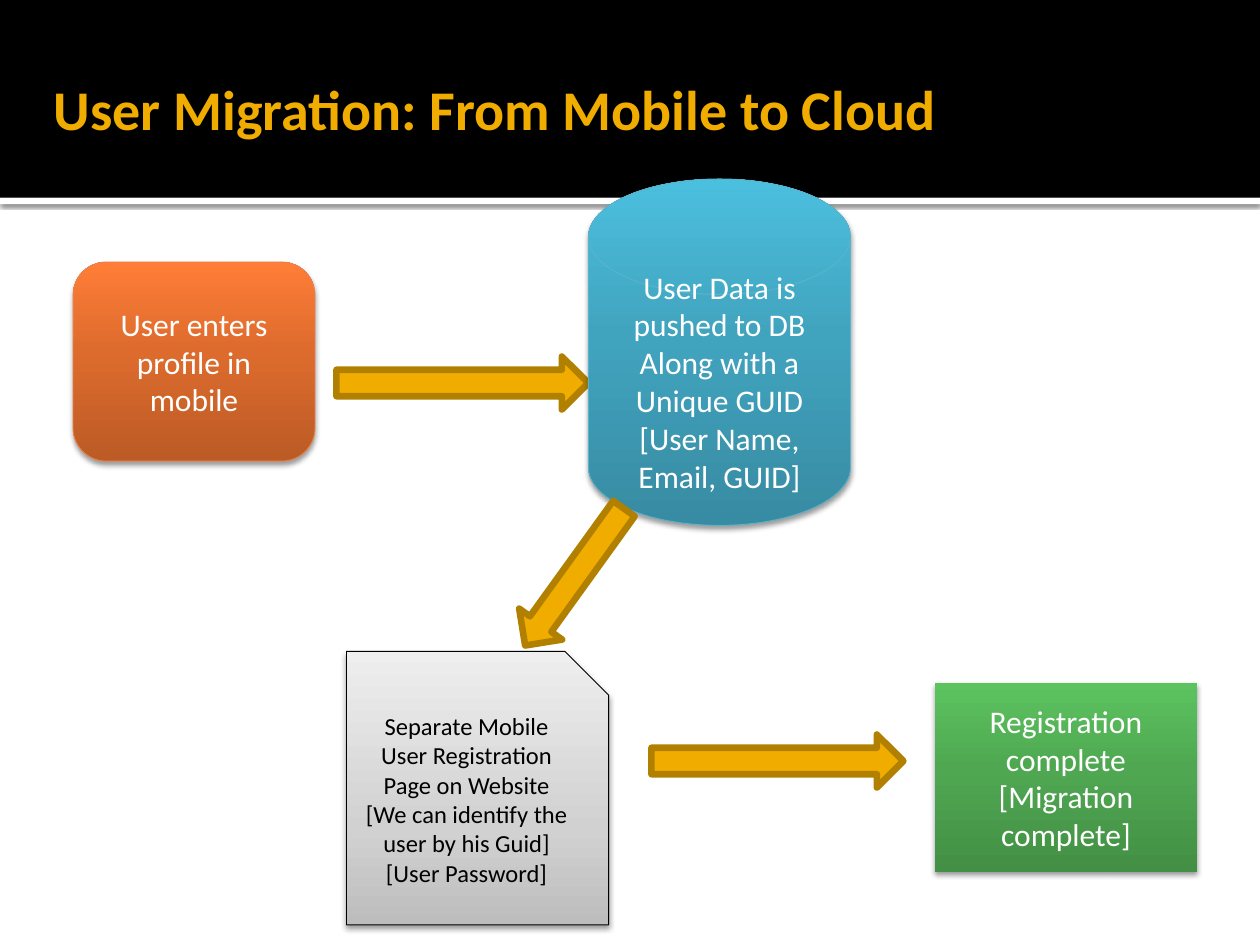
from dataclasses import dataclass

from lxml import etree
from pptx import Presentation
from pptx.dml.color import RGBColor
from pptx.enum.shapes import MSO_SHAPE
from pptx.enum.text import MSO_ANCHOR, PP_ALIGN
from pptx.oxml.ns import qn
from pptx.util import Inches, Pt

RECT = MSO_SHAPE.RECTANGLE
ROUNDED = MSO_SHAPE.ROUNDED_RECTANGLE
DISK = MSO_SHAPE.FLOWCHART_MAGNETIC_DISK
SNIPPED = MSO_SHAPE.SNIP_1_RECTANGLE
RIGHT_ARROW = MSO_SHAPE.RIGHT_ARROW
DOWN_ARROW = MSO_SHAPE.DOWN_ARROW
MIDDLE = MSO_ANCHOR.MIDDLE
CENTER = PP_ALIGN.CENTER


@dataclass(frozen=True)
class Theme:
    """Colours, gradients and type sizes of the slide."""
    font: str = "Calibri"
    title_size: int = 32
    step_size: int = 18
    page_size: int = 14
    black: str = "000000"
    white: str = "FFFFFF"
    gold: str = "F0AD00"
    gold_edge: str = "B28000"
    orange: tuple = ((0, "BC5B26"), (55, "DD6B2D"), (100, "FF7D37"))
    orange_edge: str = "E7824C"
    blue: tuple = ((0, "378BA2"), (55, "41A4BF"), (100, "4BBFDE"))
    blue_edge: str = "5BB3CA"
    gray: tuple = ((0, "BDBDBD"), (35, "D1D1D1"), (100, "EEEEEE"))
    green: tuple = ((0, "438F45"), (55, "4FA851"), (100, "5CC35F"))


THEME = Theme()


def rgb(code):
    """Turn a hex code into a colour."""
    return RGBColor.from_string(code)


def add_color(parent, code):
    """Append an RGB colour element."""
    return etree.SubElement(parent, qn("a:srgbClr"), val=code)


def set_gradient(shape, stops):
    """Fill a shape from bottom to top through (percent, colour) stops."""
    shape.fill.gradient()
    shape.fill.gradient_angle = 90
    stop_list = shape._element.spPr.find(".//" + qn("a:gsLst"))
    for old_stop in list(stop_list):
        stop_list.remove(old_stop)
    for percent, code in stops:
        stop = etree.SubElement(stop_list, qn("a:gs"), pos=str(percent * 1000))
        add_color(stop, code)


def set_shadow(shape, opacity, blur, distance):
    """Cast a black shadow straight down."""
    effects = shape._element.spPr.find(qn("a:effectLst"))
    shadow = etree.SubElement(
        effects, qn("a:outerShdw"), blurRad=str(Pt(blur)), dist=str(Pt(distance)),
        dir="5400000", rotWithShape="0")
    etree.SubElement(add_color(shadow, THEME.black), qn("a:alpha"),
                     val=str(opacity * 1000))


def add_box(slide, kind, place, fill, edge=None, edge_width=0.5):
    """Add a preset shape with a solid or gradient fill."""
    box = slide.shapes.add_shape(kind, *map(Inches, place))
    box.shadow.inherit = False
    if isinstance(fill, str):
        box.fill.solid()
        box.fill.fore_color.rgb = rgb(fill)
    else:
        set_gradient(box, fill)
    if edge:
        box.line.color.rgb = rgb(edge)
        box.line.width = Pt(edge_width)
    else:
        box.line.fill.background()
    return box


def write(shape, lines, size, color, align=None, bold=None):
    """Write one paragraph per line, centred vertically."""
    frame = shape.text_frame
    frame.word_wrap = True
    frame.vertical_anchor = MIDDLE
    frame.text = "\n".join(lines)
    for paragraph in frame.paragraphs:
        paragraph.alignment = align
        font = paragraph.font
        font.name, font.size, font.bold = THEME.font, Pt(size), bold
        font.color.rgb = rgb(color)


def add_header(slide, title):
    """Add the black band, its white rule and the title."""
    rule = add_box(slide, RECT, (0, 1.57, 10, 0.05), THEME.white)
    set_shadow(rule, 60, 2.5, 0.8)
    add_box(slide, RECT, (0, 0, 10, 1.57), THEME.black)
    heading = slide.shapes.add_textbox(*map(Inches, (0.33, 0.17, 9.17, 1.37)))
    write(heading, [title], THEME.title_size, THEME.gold, bold=True)
    heading.text_frame.margin_right = Inches(0.05)


def add_step(slide, kind, place, fill, edge, lines,
             size=THEME.step_size, color=THEME.white, blur=3.1):
    """Add one step of the migration flow."""
    step = add_box(slide, kind, place, fill, edge)
    set_shadow(step, 38, blur, 2)
    write(step, lines, size, color, CENTER)


def add_arrow(slide, kind, place, rotation=0):
    """Add a gold block arrow between two steps."""
    arrow = add_box(slide, kind, place, THEME.gold, THEME.gold_edge, 3.78)
    arrow.rotation = rotation


def main():
    """Build and save the slide."""
    deck = Presentation()
    deck.slide_width, deck.slide_height = Inches(10), Inches(7.5)
    slide = deck.slides.add_slide(deck.slide_layouts[6])

    add_header(slide, "User Migration: From Mobile to Cloud")
    add_step(slide, ROUNDED, (0.58, 2.08, 1.92, 1.58), THEME.orange,
             THEME.orange_edge, ["User enters profile in mobile"])
    add_arrow(slide, RIGHT_ARROW, (2.67, 2.83, 2, 0.42))
    add_step(slide, DISK, (4.67, 1.42, 2.08, 2.75), THEME.blue, THEME.blue_edge,
             ["User Data is pushed to DB", "Along with a Unique GUID",
              "[User Name, Email, GUID]"])
    add_step(slide, SNIPPED, (2.75, 5.17, 2.08, 2.17), THEME.gray, THEME.black,
             ["Separate Mobile User Registration Page on Website",
              "[We can identify the user by his Guid]", "[User Password]"],
             THEME.page_size, THEME.black, blur=3.5)
    add_step(slide, RECT, (7.42, 5.42, 2.08, 1.5), THEME.green, None,
             ["Registration complete", "[Migration complete]"])
    add_arrow(slide, RIGHT_ARROW, (5.17, 5.83, 2, 0.42))
    add_arrow(slide, DOWN_ARROW, (4.35, 3.91, 0.42, 1.34), 35.8)

    deck.save("out.pptx")


main()
